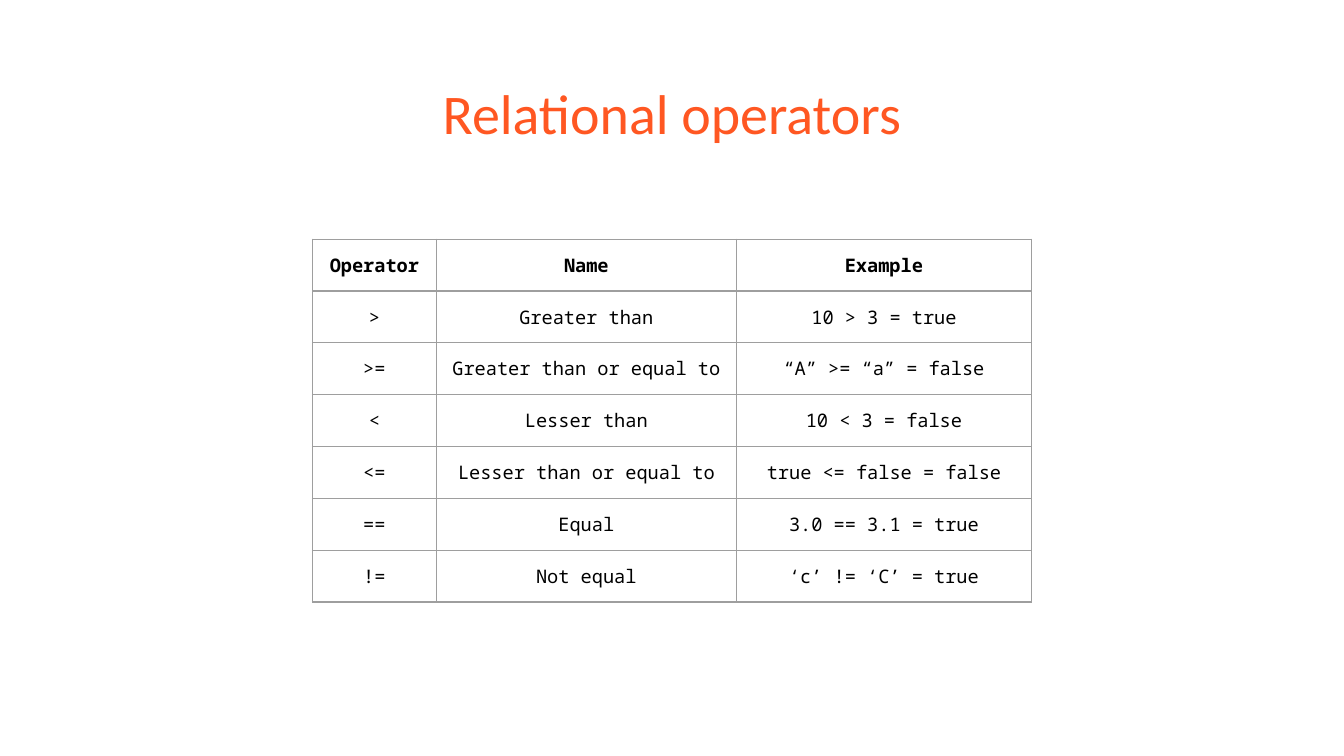
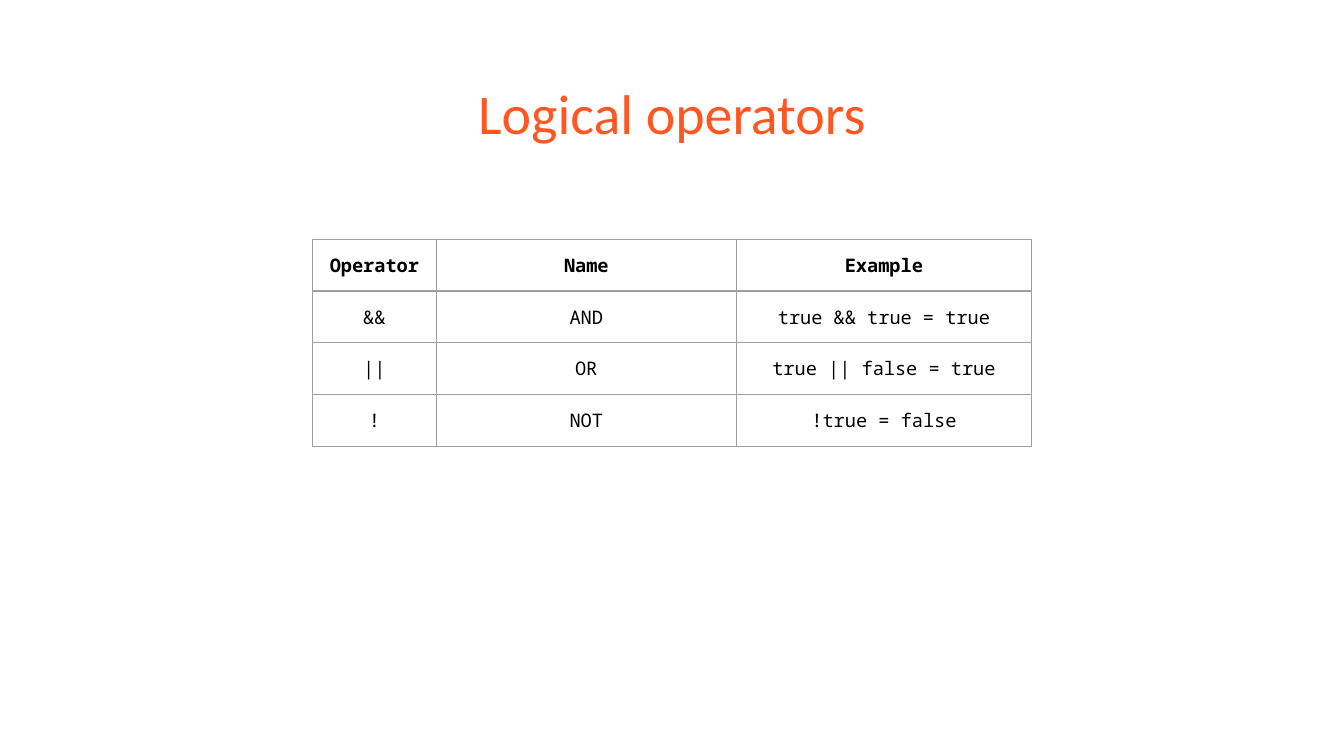
"""Build two slides with tables of relational and logical operators."""
from dataclasses import dataclass

from lxml import etree
from pptx import Presentation
from pptx import util as u
from pptx.dml.color import RGBColor
from pptx.enum import text
from pptx.oxml import parse_xml
from pptx.oxml.ns import nsdecls


@dataclass(frozen=True)
class Theme:
    background: str = "FFFFFF"
    title_color: str = "FF5722"
    cell_color: str = "000000"
    border_color: str = "9E9E9E"
    title_font: str = "Calibri"
    cell_font: str = "Noto Sans Mono"
    title_size: float = 30
    cell_size: float = 10
    border_width: float = 0.75
    inset: float = 0.25


theme = Theme()

HEADER = ("Operator", "Name", "Example")
COL_WIDTHS = (2.34, 5.67, 5.58)
ROW_HEIGHT = 0.98
TABLE_TOP = 4.52
SLIDES = {
    "Relational operators": [
        (">", "Greater than", "10 > 3 = true"),
        (">=", "Greater than or equal to", "“A” >= “a” = false"),
        ("<", "Lesser than", "10 < 3 = false"),
        ("<=", "Lesser than or equal to", "true <= false = false"),
        ("==", "Equal", "3.0 == 3.1 = true"),
        ("!=", "Not equal", "‘c’ != ‘C’ = true"),
    ],
    "Logical operators": [
        ("&&", "AND", "true && true = true"),
        ("||", "OR", "true || false = true"),
        ("!", "NOT", "!true = false"),
    ],
}


def write(tf, content, font, size, color, bold=False):
    tf.text = content
    tf.word_wrap = True
    p = tf.paragraphs[0]
    p.alignment = text.PP_ALIGN.CENTER
    r = p.runs[0]
    r.font.name = font
    r.font.size = u.Pt(size)
    r.font.bold = bold
    r.font.color.rgb = RGBColor.from_string(color)


def set_borders(cell):
    tc_pr = cell._tc.get_or_add_tcPr()
    for i, side in enumerate(("lnL", "lnR", "lnT", "lnB")):
        ln = parse_xml(f'<a:{side} {nsdecls("a")} w="{u.Pt(theme.border_width)}"/>')
        fill = etree.SubElement(ln, f"{{{ln.nsmap['a']}}}solidFill")
        etree.SubElement(fill, f"{{{ln.nsmap['a']}}}srgbClr", val=theme.border_color)
        tc_pr.insert(i, ln)


prs = Presentation()
prs.slide_width, prs.slide_height = u.Cm(25.4), u.Cm(14.29)
table_width = u.Cm(sum(COL_WIDTHS))
table_left = (prs.slide_width - table_width) // 2

for title, operators in SLIDES.items():
    s = prs.slides.add_slide(prs.slide_layouts[6])
    s.background.fill.solid()
    s.background.fill.fore_color.rgb = RGBColor.from_string(theme.background)

    sp = s.shapes.add_textbox(u.Cm(0.87), u.Cm(1.24), u.Cm(23.66), u.Cm(1.6))
    tf = sp.text_frame
    write(tf, title, theme.title_font, theme.title_size, theme.title_color)
    tf.margin_left = tf.margin_right = u.Cm(theme.inset)
    tf.margin_top = tf.margin_bottom = u.Cm(theme.inset)

    rows = [HEADER, *operators]
    table = s.shapes.add_table(
        len(rows), len(HEADER), table_left, u.Cm(TABLE_TOP),
        table_width, u.Cm(ROW_HEIGHT * len(rows)),
    ).table
    table.first_row = table.horz_banding = False
    for column, width in zip(table.columns, COL_WIDTHS):
        column.width = u.Cm(width)
    for i, row in enumerate(rows):
        table.rows[i].height = u.Cm(ROW_HEIGHT)
        for j, content in enumerate(row):
            cell = table.cell(i, j)
            cell.margin_left = cell.margin_right = u.Cm(theme.inset)
            cell.margin_top = cell.margin_bottom = u.Cm(theme.inset)
            cell.fill.background()
            set_borders(cell)
            write(cell.text_frame, content, theme.cell_font, theme.cell_size,
                  theme.cell_color, bold=i == 0)

prs.save("out.pptx")
